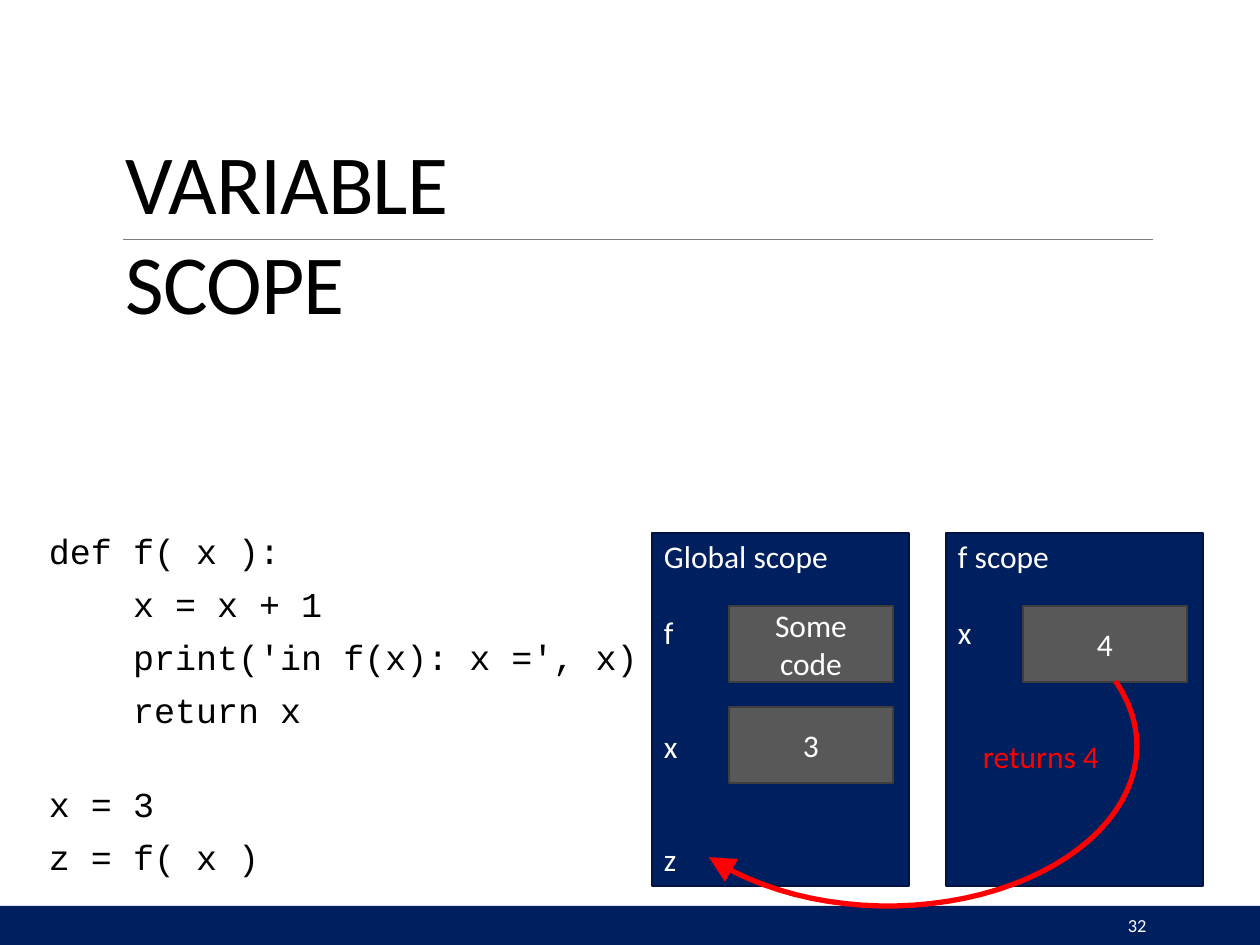
import math

import pptx
import pptx.dml.color
import pptx.enum.shapes
import pptx.enum.text
import pptx.oxml
import pptx.oxml.ns
import pptx.util

PX = 7257.14  # EMU per px, 126 px to the inch
COLORS = {
    "navy": "001F5F", "navy edge": "001344",
    "slot": "585858", "slot edge": "3E3E3E",
    "rule": "7E7E7E", "black": "000000", "white": "FFFFFF", "red": "FF0000",
}


def emu(px):
    return pptx.util.Emu(round(px * PX))


def rgb(name):
    return pptx.dml.color.RGBColor.from_string(COLORS[name])


class Board:
    """Holds the deck's style and the slide being drawn."""

    body_font, code_font = "Calibri", "Courier New"

    def __init__(self, deck):
        self.slide = deck.slides.add_slide(deck.slide_layouts[6])
        self.shapes = self.slide.shapes

    def fill_text(self, frame, lines, size, color, font, side=0, gap=0, spacing=0):
        """Set the lines; spacing is between letters, in hundredths of a point."""
        frame.margin_left = frame.margin_right = emu(side)
        frame.margin_top = frame.margin_bottom = 0
        for index, line in enumerate(lines):
            paragraph = frame.paragraphs[0] if index == 0 else frame.add_paragraph()
            run = paragraph.add_run()
            run.text = line
            if spacing:
                run._r.get_or_add_rPr().set("spc", str(spacing))
            if index:
                paragraph.space_before = pptx.util.Pt(gap)
            paragraph.font.size = pptx.util.Pt(size)
            paragraph.font.name = font
            paragraph.font.color.rgb = rgb(color)

    def text(self, left, top, width, height, lines, size=18, color="white",
             font=body_font, wrap=False, **style):
        frame = self.shapes.add_textbox(*map(emu, (left, top, width, height))).text_frame
        frame.word_wrap = wrap
        self.fill_text(frame, lines, size, color, font, **style)

    def code(self, top, height, lines):
        self.text(49, top, 591, height, lines, 20, "black", self.code_font, gap=6.2)

    def box(self, left, top, width, height, fill, edge=None):
        box = self.shapes.add_shape(pptx.enum.shapes.MSO_SHAPE.RECTANGLE,
                                    *map(emu, (left, top, width, height)))
        box.shadow.inherit = False
        box.fill.solid()
        box.fill.fore_color.rgb = rgb(fill)
        if edge:
            box.line.color.rgb = rgb(edge)
            box.line.width = pptx.util.Pt(1.25)
        else:
            box.line.fill.background()
        return box

    def slot(self, left, top, value):
        """Draw the memory cell that holds a variable's value."""
        frame = self.box(left, top, 164, 76, "slot", "slot edge").text_frame
        frame.word_wrap = True
        frame.vertical_anchor = pptx.enum.text.MSO_ANCHOR.MIDDLE
        self.fill_text(frame, [value], 18, "white", self.body_font, side=40)
        frame.paragraphs[0].alignment = pptx.enum.text.PP_ALIGN.CENTER

    def scope(self, left, title, variables):
        """Draw a scope panel; variables are (name, name top, slot top, value)."""
        self.box(left, 533, 257, 353, "navy", "navy edge")
        self.text(left + 12, 537, 168, 41, [title])
        for name, name_top, slot_top, value in variables:
            self.text(left + 12, name_top, 18, 41, [name])
            if value:
                self.slot(left + 77, slot_top, value)

    def rule(self, left, right, y):
        rule = self.shapes.add_connector(pptx.enum.shapes.MSO_CONNECTOR.STRAIGHT,
                                         *map(emu, (left, y, right, y)))
        rule.line.color.rgb = rgb("rule")
        rule.line.width = pptx.util.Pt(0.48)
        rule._element.spPr.append(pptx.oxml.parse_xml(
            f'<a:effectLst {pptx.oxml.ns.nsdecls("a")}/>'))

    def arc_arrow(self, center_x, center_y, radius_x, radius_y, start, end):
        """Draw an elliptic arc, angles in degrees clockwise from the right."""
        points = [(emu(center_x + radius_x * math.cos(math.radians(angle))),
                   emu(center_y + radius_y * math.sin(math.radians(angle))))
                  for angle in range(start, end + 1, 4)]
        builder = self.shapes.build_freeform(*points[0])
        builder.add_line_segments(points[1:], close=False)
        arrow = builder.convert_to_shape()
        arrow.shadow.inherit = False
        arrow.fill.background()
        arrow.line.color.rgb = rgb("red")
        arrow.line.width = pptx.util.Pt(3)
        arrow.line._get_or_add_ln().append(pptx.oxml.parse_xml(
            f'<a:tailEnd {pptx.oxml.ns.nsdecls("a")} type="triangle" w="lg" len="lg"/>'))


def main():
    deck = pptx.Presentation()
    deck.slide_width, deck.slide_height = pptx.util.Inches(10), pptx.util.Inches(7.5)
    board = Board(deck)

    board.box(0, 906, 1260, 39, "navy")
    board.rule(123, 1153, 239)
    board.text(126, 130, 540, 205, ["VARIABLE SCOPE"], 48, "black", wrap=True, spacing=-60)

    board.code(530, 190, [
        "def f( x ):",
        "    x = x + 1",
        "    print('in f(x): x =', x)",
        "    return x",
    ])
    board.code(783, 90, ["x = 3", "z = f( x )"])

    board.scope(652, "Global scope", [
        ("f", 613, 606, "Some code"),
        ("x", 727, 707, "3"),
        ("z", 840, None, None),
    ])
    board.scope(946, "f scope", [("x", 613, 606, "4")])

    board.arc_arrow(888, 746, 249, 160, -24, 136)
    board.text(983, 737, 120, 41, ["returns 4"], color="red")
    board.text(1128, 914, 25, 24, ["32"], 10.5)

    deck.save("out.pptx")


if __name__ == "__main__":
    main()
